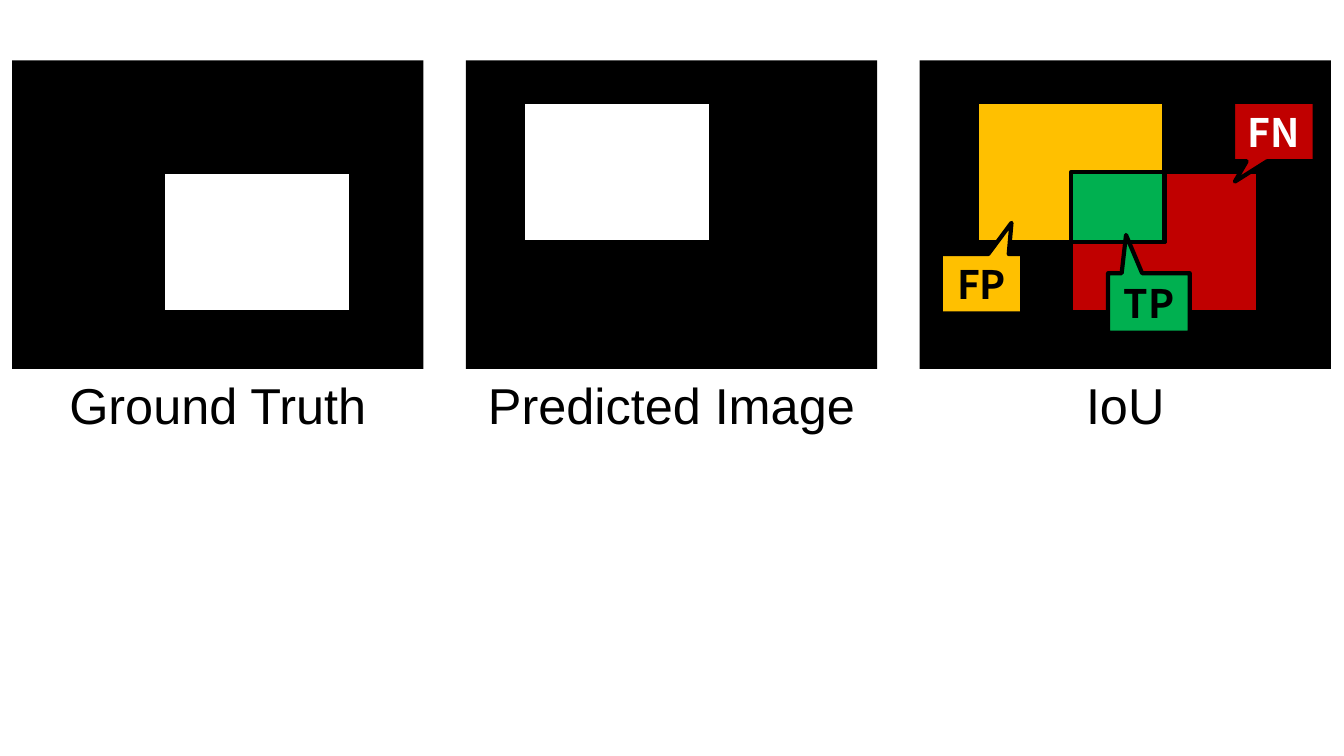
from pptx import Presentation
from pptx.dml.color import RGBColor
from pptx.enum.shapes import MSO_SHAPE
from pptx.enum.text import MSO_ANCHOR, PP_ALIGN
from pptx.util import Inches, Pt

RECTANGLE, CALLOUT = MSO_SHAPE.RECTANGLE, MSO_SHAPE.RECTANGULAR_CALLOUT
CENTER, MIDDLE = PP_ALIGN.CENTER, MSO_ANCHOR.MIDDLE
COLORS = {"black": "000000", "white": "FFFFFF", "red": "C00000",
          "yellow": "FFC000", "green": "00B050"}
CAPTION_FONT = {"name": "Arial", "size": Pt(36)}
LABEL_FONT = {"name": "Noto Sans CJK JP", "size": Pt(28), "bold": True}

PANEL_WIDTH, PANEL_HEIGHT = 4.08, 3.06
PANEL_LEFT, PANEL_TOP, PANEL_STEP = 0.12, 0.6, 4.5
CAPTION_HEIGHT = 0.71
OBJECT_WIDTH, OBJECT_HEIGHT = 1.86, 1.39
TRUTH_OFFSET, PREDICTED_OFFSET = (1.5, 1.11), (0.57, 0.41)
LABEL_WIDTH, LABEL_HEIGHT = 0.81, 0.59
LABELS = [
    ("FP", 0.21, 1.92, "yellow", "black", (0.367, -1.025)),
    ("TP", 1.87, 2.11, "green", "black", (-0.28, -1.142)),
    ("FN", 3.11, 0.41, "red", "white", (-0.478, 0.842)),
]


def color(name):
    """Return the named colour."""
    return RGBColor.from_string(COLORS[name])


def write_text(shape, text, font_values, color_name):
    """Write one centred paragraph in the given font."""
    paragraph = shape.text_frame.paragraphs[0]
    paragraph.alignment = CENTER
    run = paragraph.add_run()
    run.text = text
    for attribute, value in font_values.items():
        setattr(run.font, attribute, value)
    run.font.color.rgb = color(color_name)


def add_block(slide, kind, box, fill, outlined=True):
    """Add a flat filled shape, with a black outline if wanted."""
    shape = slide.shapes.add_shape(kind, *map(Inches, box))
    shape.shadow.inherit = False
    shape.fill.solid()
    shape.fill.fore_color.rgb = color(fill)
    if outlined:
        shape.line.color.rgb = color("black")
        shape.line.width = Pt(3)
    else:
        shape.line.fill.background()
    return shape


def add_object(slide, left, top, offset, fill):
    """Add an object region at its offset in a panel."""
    box = (left + offset[0], top + offset[1], OBJECT_WIDTH, OBJECT_HEIGHT)
    add_block(slide, RECTANGLE, box, fill)


def add_panel(slide, left, top, caption, regions):
    """Add a black panel with its object regions and caption."""
    add_block(slide, RECTANGLE, (left, top, PANEL_WIDTH, PANEL_HEIGHT), "black", False)
    for offset, fill in regions:
        add_object(slide, left, top, offset, fill)
    caption_box = (left, top + PANEL_HEIGHT, PANEL_WIDTH, CAPTION_HEIGHT)
    text_box = slide.shapes.add_textbox(*map(Inches, caption_box))
    text_box.text_frame.word_wrap = True
    write_text(text_box, caption, CAPTION_FONT, "black")


def add_overlap(slide, left, top):
    """Add the area shared by the true and predicted objects."""
    horizontal, vertical = (
        truth - predicted for truth, predicted in zip(TRUTH_OFFSET, PREDICTED_OFFSET))
    box = (left + TRUTH_OFFSET[0], top + TRUTH_OFFSET[1],
           OBJECT_WIDTH - horizontal, OBJECT_HEIGHT - vertical)
    add_block(slide, RECTANGLE, box, "green")


def add_labels(slide, left, top):
    """Add the callouts that name the areas of a panel."""
    for text, label_left, label_top, fill, text_color, pointer in LABELS:
        box = (left + label_left, top + label_top, LABEL_WIDTH, LABEL_HEIGHT)
        label = add_block(slide, CALLOUT, box, fill)
        for index, value in enumerate(pointer):
            label.adjustments[index] = value
        label.text_frame.vertical_anchor = MIDDLE
        write_text(label, text, LABEL_FONT, text_color)


def build_slide(presentation):
    """Place the three panels, then mark up the last one."""
    slide = presentation.slides.add_slide(presentation.slide_layouts[6])
    panels = [
        ("Ground Truth", [(TRUTH_OFFSET, "white")]),
        ("Predicted Image", [(PREDICTED_OFFSET, "white")]),
        ("IoU", [(TRUTH_OFFSET, "red"), (PREDICTED_OFFSET, "yellow")]),
    ]
    for index, (caption, regions) in enumerate(panels):
        left = PANEL_LEFT + index * PANEL_STEP
        add_panel(slide, left, PANEL_TOP, caption, regions)
    add_overlap(slide, left, PANEL_TOP)
    add_labels(slide, left, PANEL_TOP)


def main():
    """Build and save the presentation."""
    presentation = Presentation()
    presentation.slide_width = Inches(13.33)
    presentation.slide_height = Inches(7.5)
    build_slide(presentation)
    presentation.save("out.pptx")


main()
